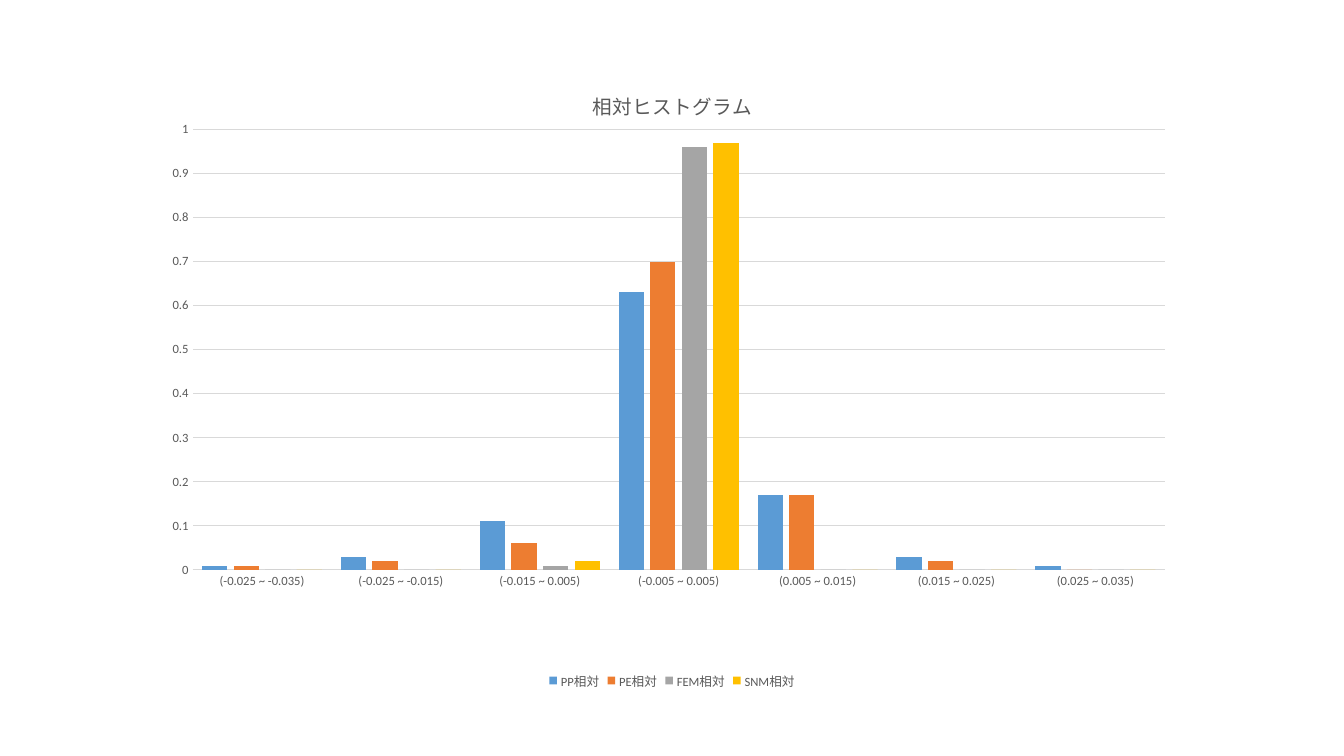
"""Build a slide with a clustered column chart of relative histograms."""
from dataclasses import dataclass

from lxml.etree import SubElement
from pptx import Presentation
from pptx.chart.data import CategoryChartData
from pptx.dml.color import RGBColor
from pptx.enum.chart import XL_CHART_TYPE as ChartType
from pptx.enum.chart import XL_LEGEND_POSITION as LegendPosition
from pptx.enum.chart import XL_TICK_MARK as TickMark
from pptx.oxml.ns import qn
from pptx.util import Inches, Pt

TITLE = "相対ヒストグラム"
CATEGORIES = [
    "(-0.025 ~ -0.035)",
    "(-0.025 ~ -0.015)",
    "(-0.015 ~ 0.005)",
    "(-0.005 ~ 0.005)",
    "(0.005 ~ 0.015)",
    "(0.015 ~ 0.025)",
    "(0.025 ~ 0.035)",
]
SERIES = {
    "PP相対": (0.01, 0.03, 0.11, 0.63, 0.17, 0.03, 0.01),
    "PE相対": (0.01, 0.02, 0.06, 0.7, 0.17, 0.02, 0),
    "FEM相対": (0, 0, 0.01, 0.96, 0, 0, 0),
    "SNM相対": (0, 0, 0.02, 0.97, 0, 0, 0),
}
CHART_BOX = (1.53, 0.6, 10.27, 6.28)
PLOT_LAYOUT = {"x": 0.037, "y": 0.109, "w": 0.939, "h": 0.696}
TITLE_LAYOUT = {"x": 0.42, "y": 0.04}


@dataclass(frozen=True)
class Theme:
    """Colours, font and type sizes of the slide."""

    font: str = "Calibri"
    text: str = "595959"
    rule: str = "D9D9D9"
    columns: tuple = ("5B9BD5", "ED7D31", "A5A5A5", "FFC000")
    title_size: float = 14
    label_size: float = 9
    rule_width: float = 0.75


THEME = Theme()


def format_font(font, size=THEME.label_size, color=THEME.text):
    """Set the typeface, size and colour of a font."""
    font.name = THEME.font
    font.size = Pt(size)
    font.bold = False
    font.color.rgb = RGBColor.from_string(color)


def write_text(text_frame, text, **font_format):
    """Write one formatted run of text."""
    run = text_frame.paragraphs[0].add_run()
    run.text = text
    format_font(run.font, **font_format)


def format_rule(line):
    """Draw a line in the rule colour."""
    line.color.rgb = RGBColor.from_string(THEME.rule)
    line.width = Pt(THEME.rule_width)


def place(element, index, fractions, inner=False):
    """Give a chart part a manual layout in fractions of the chart."""
    for old_layout in element.findall(qn("c:layout")):
        element.remove(old_layout)
    layout = SubElement(element, qn("c:layout"))
    element.insert(index, layout)
    manual = SubElement(layout, qn("c:manualLayout"))
    settings = {"layoutTarget": "inner"} if inner else {}
    settings.update({f"{side}Mode": "edge" for side in "xy"})
    settings.update(fractions)
    for name, value in settings.items():
        SubElement(manual, qn(f"c:{name}")).set("val", str(value))


def add_title(chart):
    """Add the chart title."""
    chart.has_title = True
    title = chart.chart_title
    write_text(title.text_frame, TITLE, size=THEME.title_size)
    title.include_in_layout = False
    place(title._element, 1, TITLE_LAYOUT)


def format_axes(chart):
    """Format both axes and the gridlines."""
    for axis in (chart.category_axis, chart.value_axis):
        axis.major_tick_mark = axis.minor_tick_mark = TickMark.NONE
        format_font(axis.tick_labels.font)
    format_rule(chart.category_axis.format.line)
    value_axis = chart.value_axis
    value_axis.minimum_scale, value_axis.maximum_scale = 0, 1
    value_axis.major_unit = 0.1
    value_axis.format.line.fill.background()
    value_axis.has_major_gridlines = True
    format_rule(value_axis.major_gridlines.format.line)


def add_histogram(slide):
    """Add the column chart to the slide."""
    data = CategoryChartData()
    data.categories = CATEGORIES
    for name, values in SERIES.items():
        data.add_series(name, values)
    chart = slide.shapes.add_chart(
        ChartType.COLUMN_CLUSTERED, *map(Inches, CHART_BOX), data
    ).chart
    format_font(chart.font)
    add_title(chart)
    format_axes(chart)

    plot = chart.plots[0]
    plot.vary_by_categories = False
    plot.gap_width, plot.overlap = 75, -25
    for series, color in zip(plot.series, THEME.columns):
        series.format.fill.solid()
        series.format.fill.fore_color.rgb = RGBColor.from_string(color)
    place(chart._chartSpace.chart.plotArea, 0, PLOT_LAYOUT, inner=True)

    chart.has_legend = True
    chart.legend.position = LegendPosition.BOTTOM
    chart.legend.include_in_layout = False
    format_font(chart.legend.font)


def main():
    """Create and save the presentation."""
    presentation = Presentation()
    presentation.slide_width = Inches(13.33)
    presentation.slide_height = Inches(7.5)
    slide = presentation.slides.add_slide(presentation.slide_layouts[6])
    add_histogram(slide)
    presentation.save("out.pptx")


if __name__ == "__main__":
    main()
